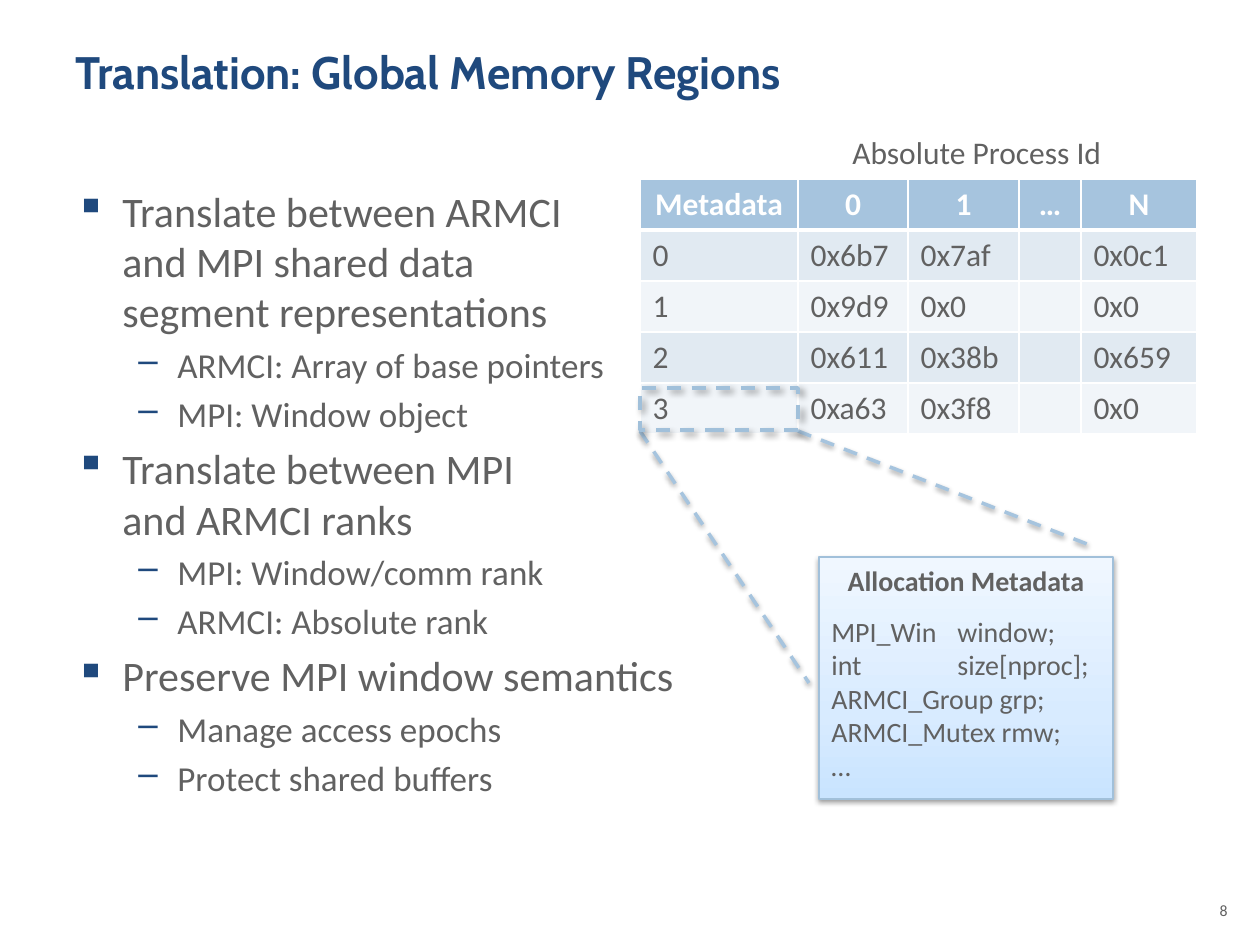
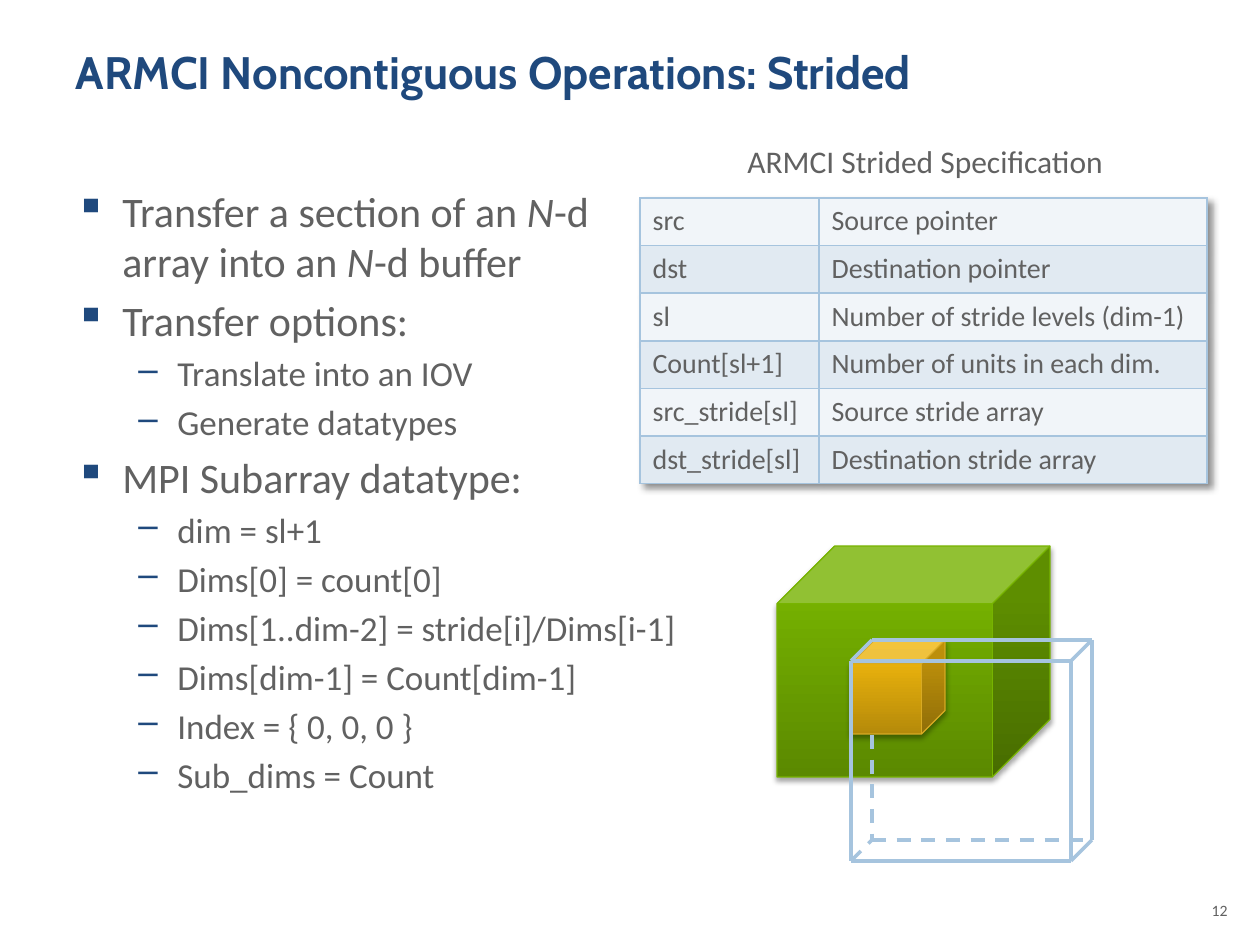
"""Build two slides on ARMCI memory translation and strided transfers."""
import copy

import pptx
import pptx.dml.color
import pptx.enum.dml
import pptx.enum.shapes
import pptx.enum.text
import pptx.oxml.ns
import pptx.oxml.xmlchemy
import pptx.util
from lxml import etree

RGB = pptx.dml.color.RGBColor
SHAPES = pptx.enum.shapes.MSO_SHAPE
ALIGN = pptx.enum.text.PP_ALIGN
qn = pptx.oxml.ns.qn

NAVY = RGB(0x1F, 0x49, 0x7D)
GRAY = RGB(0x61, 0x61, 0x61)
WHITE = RGB(0xFF, 0xFF, 0xFF)
SKY = RGB(0xA6, 0xC4, 0xDE)
SKY_EDGE = RGB(0xA1, 0xC0, 0xDA)
BAND = RGB(0xE1, 0xEA, 0xF2)
PALE_BAND = RGB(0xF1, 0xF5, 0xF9)
GREEN_EDGE = RGB(0x77, 0xB4, 0x00)
GOLD_EDGE = RGB(0xD8, 0xAA, 0x23)
BLUE_FADE = [(0, RGB(0xC9, 0xE4, 0xFF)), (35, RGB(0xD8, 0xEB, 0xFF)), (100, RGB(0xF0, 0xF7, 0xFF))]
GREEN_FADE = [(0, RGB(0x5B, 0x89, 0x00)), (80, RGB(0x76, 0xB2, 0x00)), (100, RGB(0x77, 0xB3, 0x00))]
GOLD_FADE = [(0, RGB(0xB5, 0x8A, 0x0A)), (80, RGB(0xEB, 0xB3, 0x0D)), (100, RGB(0xF0, 0xB6, 0x09))]

SOFT_SHADOW = (38, 3.1, 1.6, 90)
CUBE_SHADOW = (35, 3.1, 1.8, 90)
CORNER_SHADOW = (43, 4, 3, 45)

PX_PER_INCH = 126
BULLETS = [("▪", 47, -47, 24), ("–", 102, -39, 20)]

REGIONS = {
    "title": "Translation: Global Memory Regions",
    "number": "8",
    "body_width": 651,
    "points": [
        (0, "Translate between ARMCI\nand MPI shared data\nsegment representations"),
        (1, "ARMCI: Array of base pointers"),
        (1, "MPI: Window object"),
        (0, "Translate between MPI\nand ARMCI ranks"),
        (1, "MPI: Window/comm rank"),
        (1, "ARMCI: Absolute rank"),
        (0, "Preserve MPI window semantics"),
        (1, "Manage access epochs"),
        (1, "Protect shared buffers"),
    ],
    "caption": ("Absolute Process Id", (840, 127, 277, 50)),
}
ADDRESS_ROWS = [
    ("Metadata", "0", "1", "…", "N"),
    ("0", "0x6b7", "0x7af", "", "0x0c1"),
    ("1", "0x9d9", "0x0", "", "0x0"),
    ("2", "0x611", "0x38b", "", "0x659"),
    ("3", "0xa63", "0x3f8", "", "0x0"),
]
METADATA_HEADING = "Allocation Metadata"
METADATA_FIELDS = ["MPI_Win\twindow;", "int\tsize[nproc];", "ARMCI_Group grp;", "ARMCI_Mutex rmw;", "…"]

STRIDED = {
    "title": "ARMCI Noncontiguous Operations: Strided",
    "number": "12",
    "body_width": 1134,
    "points": [
        (0, "Transfer a section of an *N*-d\narray into an *N*-d buffer"),
        (0, "Transfer options:"),
        (1, "Translate into an IOV"),
        (1, "Generate datatypes"),
        (0, "MPI Subarray datatype:"),
        (1, "dim = sl+1"),
        (1, "Dims[0] = count[0]"),
        (1, "Dims[1..dim-2] = stride[i]/Dims[i-1]"),
        (1, "Dims[dim-1] = Count[dim-1]"),
        (1, "Index = { 0, 0, 0 }"),
        (1, "Sub_dims = Count"),
    ],
    "caption": ("ARMCI Strided Specification", (735, 136, 386, 50)),
}
STRIDED_ROWS = [
    ("src", "Source pointer"),
    ("dst", "Destination pointer"),
    ("sl", "Number of stride levels (dim-1)"),
    ("Count[sl+1]", "Number of units in each dim."),
    ("src_stride[sl]", "Source stride array"),
    ("dst_stride[sl]", "Destination stride array"),
]


def px(length):
    return pptx.util.Emu(round(length * 914400 / PX_PER_INCH))


def place(*lengths):
    return [px(length) for length in lengths]


def set_font(paragraph, size, color=GRAY, bold=False, name="Calibri"):
    font = paragraph.font
    font.name, font.size, font.bold = name, pptx.util.Pt(size), bold
    font.color.rgb = color


def add_color(parent, color):
    return etree.SubElement(parent, qn("a:srgbClr"), val=str(color))


def add_shadow(properties, alpha, blur, distance, angle):
    """Put an outer shadow in a shape's or a table's properties."""
    effects = etree.Element(qn("a:effectLst"))
    shadow = etree.SubElement(
        effects, qn("a:outerShdw"), blurRad=str(round(blur * 12700)),
        dist=str(round(distance * 12700)), dir=str(angle * 60000), rotWithShape="0")
    etree.SubElement(add_color(shadow, "000000"), qn("a:alpha"), val=str(alpha * 1000))
    for empty in properties.findall(qn("a:effectLst")):
        properties.remove(empty)
    if properties.tag == qn("a:tblPr"):
        properties.insert(0, effects)
    else:
        properties.append(effects)


def style_line(line, color, width, dashed=False):
    line.color.rgb = color
    line.width = pptx.util.Pt(width)
    if dashed:
        line.dash_style = pptx.enum.dml.MSO_LINE.DASH


def add_line(slide, start, end, dashed=False, shadow=None):
    connector = slide.shapes.add_connector(
        pptx.enum.shapes.MSO_CONNECTOR.STRAIGHT, *place(*start, *end))
    style_line(connector.line, SKY, 2, dashed)
    properties = connector._element.spPr
    if shadow:
        add_shadow(properties, *shadow)
    else:
        etree.SubElement(properties, qn("a:effectLst"))


def add_solid(slide, kind, box, fade, edge, shadow):
    """Add a shape with a three-stop upward gradient."""
    shape = slide.shapes.add_shape(kind, *place(*box))
    shape.fill.gradient()
    shape.fill.gradient_angle = 90
    stop_list = shape._element.spPr.find(".//" + qn("a:gsLst"))
    stop_list.insert(1, copy.deepcopy(stop_list[0]))
    for stop, (position, color) in zip(shape.fill.gradient_stops, fade):
        stop.position = position / 100
        stop.color.rgb = color
    style_line(shape.line, edge, 0.75)
    add_shadow(shape._element.spPr, *shadow)
    return shape


def add_label(slide, text, box, size, alignment=ALIGN.LEFT, wrap=False):
    frame = slide.shapes.add_textbox(*place(*box)).text_frame
    frame.word_wrap = wrap
    paragraph = frame.paragraphs[0]
    paragraph.text = text
    paragraph.alignment = alignment
    set_font(paragraph, size)


def add_points(slide, points, width):
    """Add the bulleted text; asterisks enclose italics."""
    frame = slide.shapes.add_textbox(*place(63, 179, width, 665)).text_frame
    frame.word_wrap = True
    for index, (level, text) in enumerate(points):
        paragraph = frame.add_paragraph() if index else frame.paragraphs[0]
        mark, margin, indent, size = BULLETS[level]
        paragraph.level = level
        properties = paragraph._p.get_or_add_pPr()
        properties.set("marL", str(px(margin)))
        properties.set("indent", str(px(indent)))
        add_color(etree.SubElement(properties, qn("a:buClr")), NAVY)
        etree.SubElement(properties, qn("a:buChar"), char=mark)
        if index:
            paragraph.space_before = pptx.util.Pt(size * 0.2)
        set_font(paragraph, size)
        for part_index, part in enumerate(text.split("*")):
            for line_index, line in enumerate(part.split("\n")):
                if line_index:
                    paragraph.add_line_break()
                run = paragraph.add_run()
                run.text = line
                if part_index % 2:
                    run.font.italic = True


def add_grid(slide, top, height, widths, rows, size, border, bands, header=False):
    """Add a bordered table with alternating row fills."""
    frame = slide.shapes.add_table(
        len(rows), len(widths), *place(640, top, sum(widths), height))
    table = frame.table
    table.first_row = table.horz_banding = False
    for column, width in zip(table.columns, widths):
        column.width = px(width)
    for row_index, texts in enumerate(rows):
        table.rows[row_index].height = px(height / len(rows))
        heading = header and row_index == 0
        for column_index, text in enumerate(texts):
            cell = table.cell(row_index, column_index)
            properties = cell._tc.get_or_add_tcPr()
            for side in "LRTB":
                thick = header and (row_index, side) in ((0, "B"), (1, "T"))
                line = etree.SubElement(
                    properties, qn("a:ln" + side), w=str(38100 if thick else 12700))
                add_color(etree.SubElement(line, qn("a:solidFill")), border)
            cell.fill.solid()
            cell.fill.fore_color.rgb = SKY if heading else bands[row_index % 2]
            paragraph = cell.text_frame.paragraphs[0]
            paragraph.text = text
            paragraph.alignment = ALIGN.CENTER if heading else ALIGN.LEFT
            set_font(paragraph, size, WHITE if heading else GRAY, heading)
    return table


def start_slide(presentation, content):
    slide = presentation.slides.add_slide(presentation.slide_layouts[5])
    title = slide.shapes.title
    title.left, title.top, title.width, title.height = place(63, 38, 1134, 130)
    frame = title.text_frame
    frame.text = content["title"]
    frame.auto_size = pptx.enum.text.MSO_AUTO_SIZE.NONE
    frame.vertical_anchor = pptx.enum.text.MSO_ANCHOR.TOP
    frame.paragraphs[0].alignment = ALIGN.LEFT
    set_font(frame.paragraphs[0], 26, NAVY, True, "Cabin")
    add_points(slide, content["points"], content["body_width"])
    add_label(slide, content["number"], (1187, 895, 53, 50), 9, ALIGN.RIGHT, True)
    add_label(slide, *content["caption"], 18)
    return slide


def add_metadata_box(slide):
    box = add_solid(slide, SHAPES.RECTANGLE, (819, 557, 294, 242), BLUE_FADE, SKY_EDGE, SOFT_SHADOW)
    frame = box.text_frame
    frame.word_wrap = True
    frame.vertical_anchor = pptx.enum.text.MSO_ANCHOR.TOP
    heading = frame.paragraphs[0]
    heading.text = METADATA_HEADING
    heading.alignment = ALIGN.CENTER
    heading.space_after = pptx.util.Pt(10)
    set_font(heading, 16, bold=True)
    for field in METADATA_FIELDS:
        paragraph = frame.add_paragraph()
        paragraph.text = field
        paragraph.alignment = ALIGN.LEFT
        if "\t" in field:
            tabs = etree.SubElement(paragraph._p.get_or_add_pPr(), qn("a:tabLst"))
            etree.SubElement(tabs, qn("a:tab"), pos=str(px(126)), algn="l")
        set_font(paragraph, 16)


def build_regions(presentation):
    slide = start_slide(presentation, REGIONS)
    add_grid(slide, 179, 255, (158, 110, 111, 62, 116), ADDRESS_ROWS, 18,
             WHITE, (PALE_BAND, BAND), header=True)
    add_metadata_box(slide)
    add_line(slide, (640, 431), (809, 683), True, SOFT_SHADOW)
    add_line(slide, (798, 431), (1092, 546), True, SOFT_SHADOW)
    marker = slide.shapes.add_shape(SHAPES.RECTANGLE, *place(640, 388, 158, 42))
    marker.fill.background()
    style_line(marker.line, SKY_EDGE, 2, True)
    add_shadow(marker._element.spPr, *CORNER_SHADOW)


def add_wire_box(slide, left, top, right, bottom, depth, hidden_top):
    """Draw a box by its edges, with the three rear ones dashed."""
    front = [(left, top), (right, top), (right, bottom), (left, bottom)]
    back = [(x + depth, y - depth) for x, y in front]
    for corner in range(4):
        add_line(slide, front[corner], front[(corner + 1) % 4])
        add_line(slide, front[corner], back[corner], dashed=corner == 3)
    add_line(slide, back[0], back[1])
    add_line(slide, back[1], back[2])
    add_line(slide, back[3], back[2], True)
    add_line(slide, (left + depth, hidden_top), back[3], True)


def build_strided(presentation):
    slide = start_slide(presentation, STRIDED)
    table = add_grid(slide, 198, 286, (179, 388), STRIDED_ROWS, 16, SKY, (PALE_BAND, BAND))
    add_shadow(table._tbl.tblPr, *CORNER_SHADOW)
    add_solid(slide, SHAPES.CUBE, (777, 546, 273, 231), GREEN_FADE, GREEN_EDGE, CUBE_SHADOW)
    add_solid(slide, SHAPES.CUBE, (851, 640, 94, 94), GOLD_FADE, GOLD_EDGE, CUBE_SHADOW)
    add_wire_box(slide, 851, 661, 1071, 861, 21, 735)


def main():
    presentation = pptx.Presentation()
    presentation.slide_width, presentation.slide_height = place(1260, 945)
    build_regions(presentation)
    build_strided(presentation)
    presentation.save("out.pptx")


if __name__ == "__main__":
    main()
